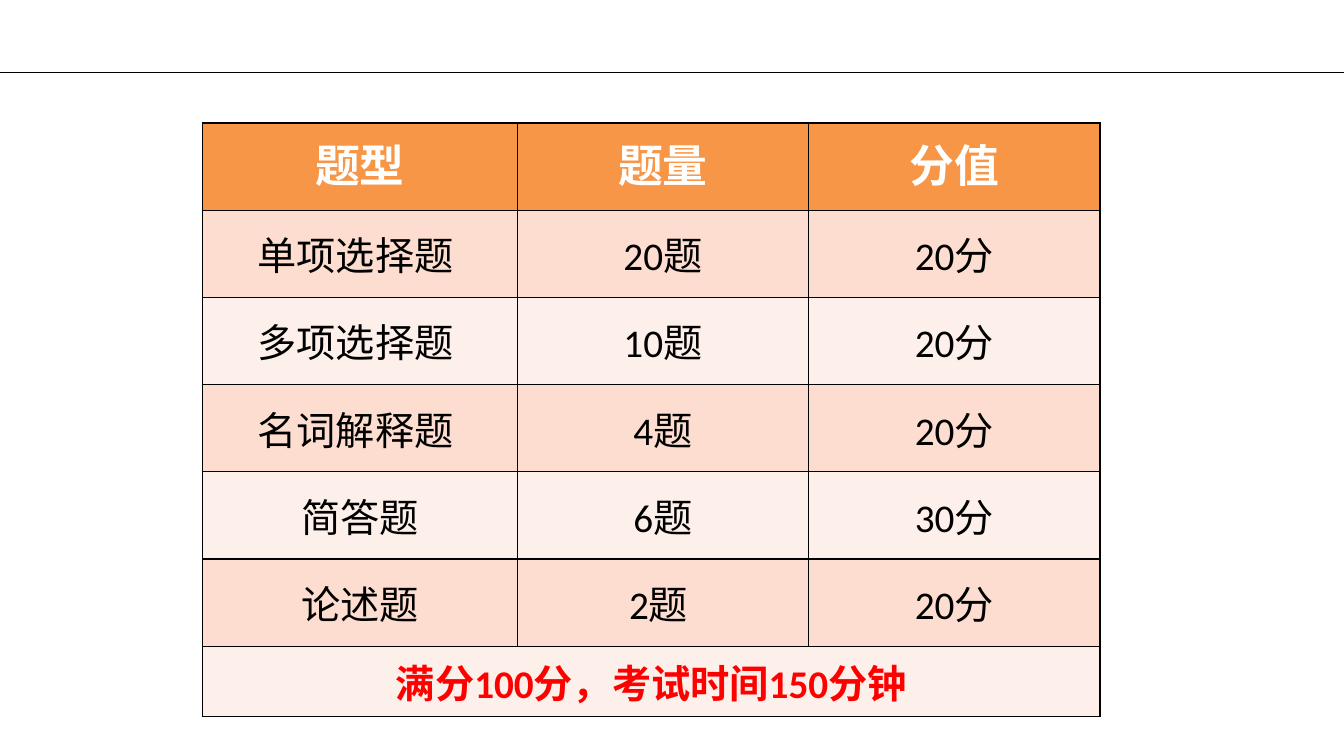
import dataclasses
import typing

import lxml.etree
import pptx
import pptx.dml.color
import pptx.enum.shapes
import pptx.enum.text
import pptx.oxml.ns
import pptx.slide
import pptx.table
import pptx.util

Inches = pptx.util.Inches
Middle = pptx.enum.text.MSO_ANCHOR.MIDDLE
Top = pptx.enum.text.MSO_ANCHOR.TOP

FONT = "Calibri"
BLACK = "000000"
SLIDE_WIDTH, SLIDE_HEIGHT = 13.33, 7.5
RULE_TOP = 0.72
TABLE_LEFT, TABLE_TOP = 2.01, 1.22
COLUMN_WIDTHS = (3.12, 2.89, 2.89)
QUESTION_ROWS_HEIGHT = 5.19
TOTAL_ROW_HEIGHT = 0.7
BORDER_WIDTH = 1
CELL_FORMAT = {
    "margin_left": Inches(0.13),
    "margin_right": Inches(0.13),
    "margin_top": Inches(0.07),
    "margin_bottom": Inches(0.07),
}


@dataclasses.dataclass(frozen=True)
class RowStyle:
    size: int
    color: str
    bold: bool
    anchor: pptx.enum.text.MSO_ANCHOR


@dataclasses.dataclass(frozen=True)
class TableRow:
    texts: tuple[str, ...]
    style: RowStyle
    fill: str


HEADER = RowStyle(32, "FFFFFF", True, Top)
BODY = RowStyle(28, BLACK, False, Middle)
TOTAL = RowStyle(28, "FF0000", True, Middle)
BAND_FILLS = ("FCDDCF", "FDEFE9")
QUESTION_TYPES = (
    ("单项选择题 ", "20题", "20分"),
    ("多项选择题 ", "10题", "20分"),
    ("名词解释题 ", "4题", "20分"),
    ("简答题", "6题", "30分"),
    ("论述题", "2题 ", "20分"),
)
ROWS = (
    TableRow(("题型", "题量", "分值"), HEADER, "F79646"),
    *(
        TableRow(texts, BODY, BAND_FILLS[index % 2])
        for index, texts in enumerate(QUESTION_TYPES)
    ),
    TableRow(("满分100分，考试时间150分钟", "", ""), TOTAL, BAND_FILLS[1]),
)


def rgb(color: str) -> pptx.dml.color.RGBColor:
    return pptx.dml.color.RGBColor.from_string(color)


def apply_format(target: typing.Any, values: dict[str, typing.Any]) -> None:
    for name, value in values.items():
        setattr(target, name, value)


def draw_rule(slide: pptx.slide.Slide) -> None:
    rule = slide.shapes.add_connector(
        pptx.enum.shapes.MSO_CONNECTOR.STRAIGHT,
        Inches(0), Inches(RULE_TOP), Inches(SLIDE_WIDTH), Inches(RULE_TOP),
    )
    rule.line.color.rgb = rgb(BLACK)
    rule.line.width = pptx.util.Pt(1)
    properties = rule._element.spPr
    lxml.etree.SubElement(properties, pptx.oxml.ns.qn("a:effectLst"))


def draw_borders(cell: pptx.table._Cell) -> None:
    qn = pptx.oxml.ns.qn
    properties = cell._tc.get_or_add_tcPr()
    for index, side in enumerate(("a:lnL", "a:lnR", "a:lnT", "a:lnB")):
        border = lxml.etree.Element(qn(side), w=str(pptx.util.Pt(BORDER_WIDTH)))
        fill = lxml.etree.SubElement(border, qn("a:solidFill"))
        lxml.etree.SubElement(fill, qn("a:srgbClr"), val=BLACK)
        properties.insert(index, border)


def draw_cell(cell: pptx.table._Cell, text: str, row: TableRow) -> None:
    apply_format(cell, CELL_FORMAT | {"vertical_anchor": row.style.anchor})
    cell.fill.solid()
    cell.fill.fore_color.rgb = rgb(row.fill)
    draw_borders(cell)
    if not text:
        return
    paragraph = cell.text_frame.paragraphs[0]
    paragraph.alignment = pptx.enum.text.PP_ALIGN.CENTER
    run = paragraph.add_run()
    run.text = text
    apply_format(run.font, {
        "name": FONT,
        "size": pptx.util.Pt(row.style.size),
        "bold": row.style.bold,
    })
    run.font.color.rgb = rgb(row.style.color)


def draw_table(slide: pptx.slide.Slide) -> None:
    table = slide.shapes.add_table(
        len(ROWS), len(COLUMN_WIDTHS),
        Inches(TABLE_LEFT), Inches(TABLE_TOP),
        Inches(sum(COLUMN_WIDTHS)),
        Inches(QUESTION_ROWS_HEIGHT + TOTAL_ROW_HEIGHT),
    ).table
    for column, width in zip(table.columns, COLUMN_WIDTHS):
        column.width = Inches(width)
    question_row_height = QUESTION_ROWS_HEIGHT / (len(ROWS) - 1)
    for row_index, row in enumerate(ROWS):
        height = TOTAL_ROW_HEIGHT if row.style is TOTAL else question_row_height
        table.rows[row_index].height = Inches(height)
        for column_index, text in enumerate(row.texts):
            draw_cell(table.cell(row_index, column_index), text, row)
    last_row, last_column = len(ROWS) - 1, len(COLUMN_WIDTHS) - 1
    table.cell(last_row, 0).merge(table.cell(last_row, last_column))


def main() -> None:
    presentation = pptx.Presentation()
    apply_format(presentation, {
        "slide_width": Inches(SLIDE_WIDTH),
        "slide_height": Inches(SLIDE_HEIGHT),
    })
    slide = presentation.slides.add_slide(presentation.slide_layouts[6])
    draw_rule(slide)
    draw_table(slide)
    presentation.save("out.pptx")


if __name__ == "__main__":
    main()
